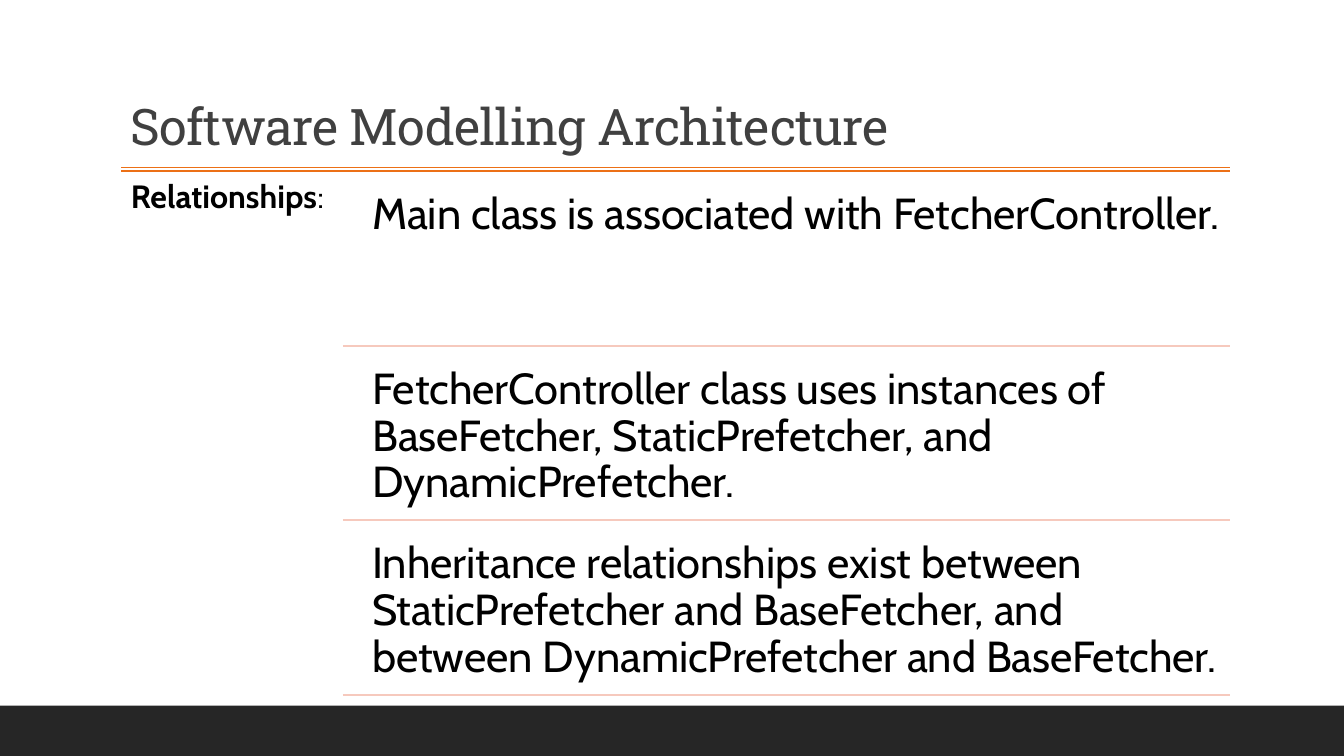
from lxml import etree
from pptx import Presentation
from pptx.dml.color import RGBColor
from pptx.enum.shapes import MSO_CONNECTOR, MSO_SHAPE
from pptx.enum.text import MSO_ANCHOR, PP_ALIGN
from pptx.oxml.ns import qn
from pptx.util import Cm, Pt

RECTANGLE = MSO_SHAPE.RECTANGLE
STRAIGHT = MSO_CONNECTOR.STRAIGHT
TOP, BOTTOM = MSO_ANCHOR.TOP, MSO_ANCHOR.BOTTOM
LEFT, JUSTIFY = PP_ALIGN.LEFT, PP_ALIGN.JUSTIFY

CHARCOAL = RGBColor(0x26, 0x26, 0x26)
GREY = RGBColor(0x40, 0x40, 0x40)
BLACK = RGBColor(0x00, 0x00, 0x00)
ORANGE = RGBColor(0xEC, 0x70, 0x16)
PINK = RGBColor(0xF6, 0xC9, 0xBD)

PAGE_WIDTH, PAGE_HEIGHT = 33.87, 19.05
MARGIN_LEFT, MARGIN_RIGHT = 3.05, 30.99
FOOTER_HEIGHT = 1.27
BODY_TOP = 4.31
ROW_PITCH = 4.4
ROW_GAP = 0.2
ROW_LEFT = 8.64
ROW_TEXT_LEFT, ROW_TEXT_WIDTH = 9.05, 21.94

RELATIONSHIPS = [
    "Main class is associated with FetcherController.",
    "FetcherController class uses instances of BaseFetcher, StaticPrefetcher, "
    "and DynamicPrefetcher.",
    "Inheritance relationships exist between StaticPrefetcher and BaseFetcher, "
    "and between DynamicPrefetcher and BaseFetcher.",
]


class SlideWriter:
    """Draws the elements of one slide in a shared style."""

    heading_font = "Roboto Slab"
    body_font = "Cabin"
    line_spacing = 0.9

    def __init__(self, page):
        self.page = page

    def band(self, left, top, width, height, color):
        box = self.page.shapes.add_shape(
            RECTANGLE, Cm(left), Cm(top), Cm(width), Cm(height))
        box.shadow.inherit = False
        box.fill.solid()
        box.fill.fore_color.rgb = color
        box.line.fill.background()

    def rule(self, left, right, height, color, weight=1.25):
        line = self.page.shapes.add_connector(
            STRAIGHT, Cm(left), Cm(height), Cm(right), Cm(height))
        line.line.color.rgb = color
        line.line.width = Pt(weight)
        etree.SubElement(line._element.spPr, qn("a:effectLst"))

    def text(self, left, top, width, height, words, size, inset):
        box = self.page.shapes.add_textbox(
            Cm(left), Cm(top), Cm(width), Cm(height))
        frame = box.text_frame
        frame.word_wrap = True
        frame.vertical_anchor = TOP
        frame.margin_left = frame.margin_right = Cm(inset)
        frame.margin_top = frame.margin_bottom = Cm(inset)
        para = frame.paragraphs[0]
        para.alignment = LEFT
        para.line_spacing = self.line_spacing
        para.font.name = self.body_font
        para.font.size = Pt(size)
        para.font.color.rgb = BLACK
        para.add_run().text = words
        return frame

    def title(self, left, top, width, height, words):
        frame = self.text(left, top, width, height, words, 36, 0.25)
        frame.margin_top, frame.margin_bottom = Cm(0.13), Cm(0.28)
        frame.vertical_anchor = BOTTOM
        para = frame.paragraphs[0]
        para.alignment = JUSTIFY
        para.font.name = self.heading_font
        para.font.color.rgb = GREY
        para.runs[0].font._element.set("spc", "-50")

    def label(self, left, top, width, height, words, ending):
        frame = self.text(left, top, width, height, words, 23, 0.25)
        para = frame.paragraphs[0]
        para.runs[0].font.bold = True
        span = para.add_run()
        span.text = ending
        span.font.bold = False

    def row(self, left, top, width, height, words):
        frame = self.text(left, top, width, height, words, 31, 0.33)
        frame.margin_right = Cm(0.2)


def main():
    deck = Presentation()
    deck.slide_width, deck.slide_height = Cm(PAGE_WIDTH), Cm(PAGE_HEIGHT)
    writer = SlideWriter(deck.slides.add_slide(deck.slide_layouts[6]))

    writer.band(0, PAGE_HEIGHT - FOOTER_HEIGHT, PAGE_WIDTH, FOOTER_HEIGHT, CHARCOAL)
    content_width = MARGIN_RIGHT - MARGIN_LEFT
    writer.title(MARGIN_LEFT, 2.41, content_width, 1.8,
                 "Software Modelling Architecture")
    writer.rule(MARGIN_LEFT, MARGIN_RIGHT, 4.22, ORANGE, 1)
    writer.rule(MARGIN_LEFT, MARGIN_RIGHT, BODY_TOP, ORANGE)
    writer.label(MARGIN_LEFT, BODY_TOP, ROW_LEFT - MARGIN_LEFT, 13.39,
                 "Relationships", ":")

    for index, relationship in enumerate(RELATIONSHIPS):
        top = BODY_TOP + index * ROW_PITCH
        writer.row(ROW_TEXT_LEFT, top + ROW_GAP, ROW_TEXT_WIDTH,
                   ROW_PITCH - ROW_GAP, relationship)
        writer.rule(ROW_LEFT, MARGIN_RIGHT, top + ROW_PITCH, PINK)

    deck.save("out.pptx")


if __name__ == "__main__":
    main()
